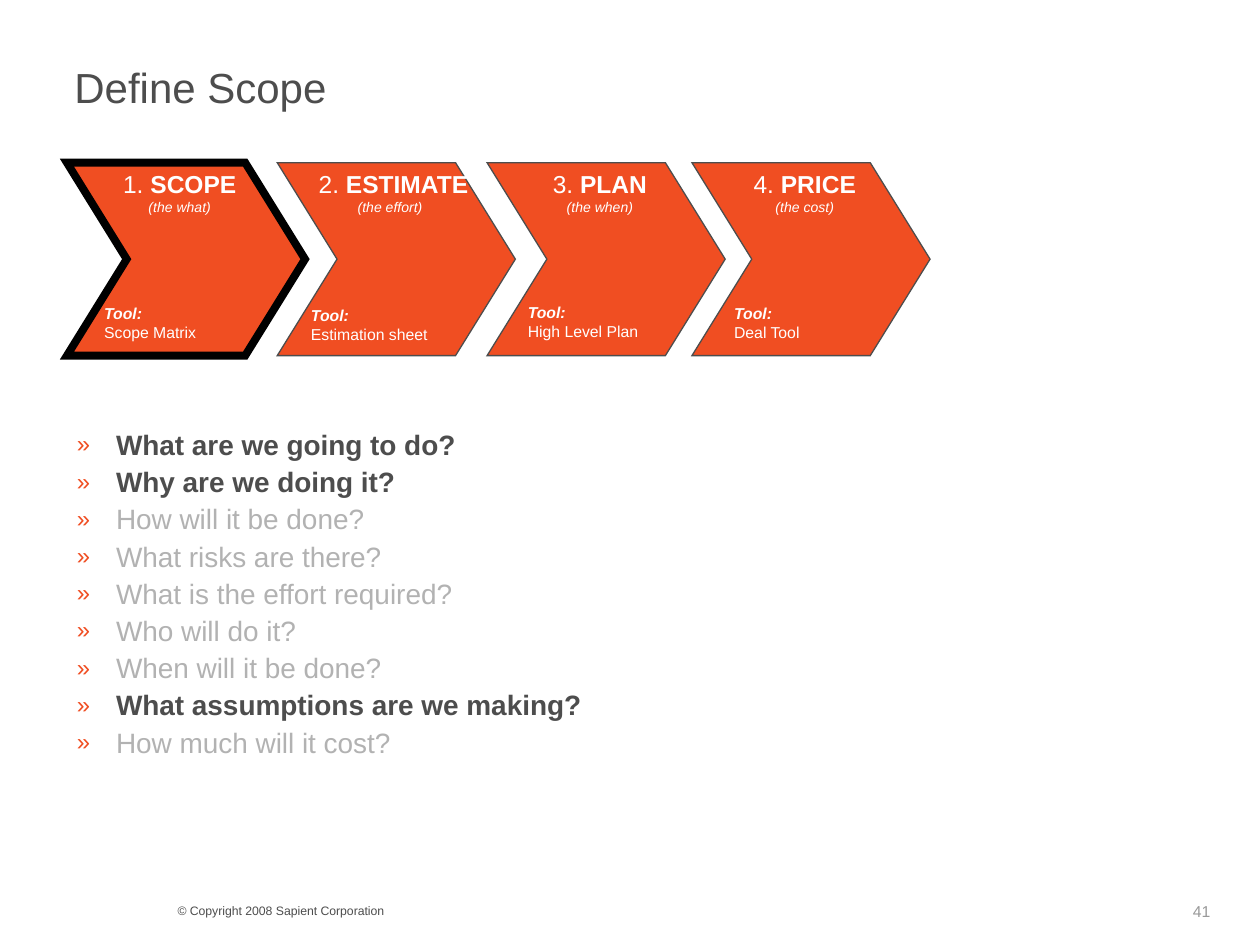
from dataclasses import dataclass

import pptx
import pptx.dml.color
import pptx.enum.shapes
import pptx.enum.text
import pptx.oxml.ns
import pptx.util
from lxml import etree

Cm, Pt = pptx.util.Cm, pptx.util.Pt
ALIGN, ANCHOR = pptx.enum.text.PP_ALIGN, pptx.enum.text.MSO_ANCHOR


@dataclass(frozen=True)
class Theme:
    font: str = "Arial"
    orange: str = "F04E22"
    dark: str = "4D4D4D"
    muted: str = "B2B2B2"
    number: str = "999999"
    black: str = "000000"
    white: str = "FFFFFF"
    title: float = 24
    body: float = 16
    step: float = 14
    label: float = 9
    hint: float = 8
    footer: float = 7


@dataclass(frozen=True)
class Step:
    left: float
    number: str
    name: str
    hint: str
    tool: str
    tool_box: tuple[float, float, float]  # left, top, width in cm
    current: bool = False


@dataclass(frozen=True)
class Question:
    text: str
    active: bool = False


THEME = Theme()
STEP_TOP, STEP_WIDTH, STEP_HEIGHT, STEP_POINT = 3.28, 4.8, 3.89, 0.31
TOOL_HEIGHT = 1.02

STEPS = [
    Step(1.35, "1. ", "SCOPE", "(the what)", "Scope Matrix", (1.85, 6, 2.36), True),
    Step(5.59, " 2. ", "ESTIMATE", "(the effort)", "Estimation sheet", (6.02, 6.04, 2.84)),
    Step(9.82, "3. ", "PLAN", "(the when)", "High Level Plan", (10.39, 5.97, 2.72)),
    Step(13.95, "4. ", "PRICE", "(the cost)", "Deal Tool", (14.55, 6, 1.85)),
]
QUESTIONS = [
    Question("What are we going to do?", True),
    Question("Why are we doing it?", True),
    Question("How will it be done?"),
    Question("What risks are there?"),
    Question("What is the effort required?"),
    Question("Who will do it?"),
    Question("When will it be done?"),
    Question("What assumptions are we making?", True),
    Question("How much will it cost?"),
]


def rgb(color: str):
    return pptx.dml.color.RGBColor.from_string(color)


def apply(target, values: dict) -> None:
    for name, value in values.items():
        setattr(target, name, value)


def add_run(p, text: str, size: float, color: str, **style) -> None:
    r = p.add_run()
    r.text = text
    apply(r.font, {"name": THEME.font, "size": Pt(size), **style})
    r.font.color.rgb = rgb(color)


def add_text_box(s, left: float, top: float, width: float, height: float, **frame):
    tf = s.shapes.add_textbox(Cm(left), Cm(top), Cm(width), Cm(height)).text_frame
    apply(tf, {"word_wrap": True, **frame})
    return tf


def add_bullet(p) -> None:
    pPr = p._p.get_or_add_pPr()
    for name, length in {"marL": Cm(0.79), "indent": Cm(-0.79)}.items():
        pPr.set(name, str(int(length)))
    qn = pptx.oxml.ns.qn
    bullet_color = etree.SubElement(pPr, qn("a:buClr"))
    etree.SubElement(bullet_color, qn("a:srgbClr"), val=THEME.orange)
    etree.SubElement(pPr, qn("a:buSzPct"), val="85000")
    etree.SubElement(pPr, qn("a:buFont"), typeface=THEME.font)
    etree.SubElement(pPr, qn("a:buChar"), char="»")


def draw_step(s, step: Step) -> None:
    sp = s.shapes.add_shape(pptx.enum.shapes.MSO_SHAPE.CHEVRON, Cm(step.left),
                            Cm(STEP_TOP), Cm(STEP_WIDTH), Cm(STEP_HEIGHT))
    sp.adjustments[0] = STEP_POINT
    sp.shadow.inherit = False
    sp.fill.solid()
    sp.fill.fore_color.rgb = rgb(THEME.orange)
    sp.line.color.rgb = rgb(THEME.black if step.current else THEME.dark)
    sp.line.width = Pt(4.5 if step.current else 0.75)
    etree.SubElement(sp.line._get_or_add_ln(), pptx.oxml.ns.qn("a:miter"), lim="800000")

    tf = sp.text_frame
    apply(tf, {"word_wrap": False, "vertical_anchor": ANCHOR.TOP, "margin_left": 0,
               "margin_right": Cm(0.25), "margin_top": Cm(0.13), "margin_bottom": Cm(0.13)})
    p = tf.paragraphs[0]
    p.alignment = ALIGN.CENTER
    add_run(p, step.number, THEME.step, THEME.white)
    add_run(p, step.name, THEME.step, THEME.white, bold=True)
    p = tf.add_paragraph()
    p.alignment = ALIGN.CENTER
    add_run(p, step.hint, THEME.hint, THEME.white, italic=True)


def draw_tool(s, step: Step) -> None:
    # No right margin, so that each label keeps to one line
    tf = add_text_box(s, *step.tool_box, TOOL_HEIGHT, margin_right=0)
    add_run(tf.paragraphs[0], "Tool:", THEME.label, THEME.white, bold=True, italic=True)
    add_run(tf.add_paragraph(), step.tool, THEME.label, THEME.white)


def draw_questions(s, questions: list[Question]) -> None:
    tf = add_text_box(s, 1.3, 8.57, 22.83, 7.03)
    for i, question in enumerate(questions):
        p = tf.add_paragraph() if i else tf.paragraphs[0]
        add_bullet(p)
        apply(p, {"line_spacing": 0.9, "space_before": Pt(4 if i else 0)})
        add_run(p, question.text, THEME.body,
                THEME.dark if question.active else THEME.muted, bold=question.active)


def main() -> None:
    prs = pptx.Presentation()
    apply(prs, {"slide_width": Cm(25.4), "slide_height": Cm(19.05)})
    s = prs.slides.add_slide(prs.slide_layouts[6])

    # Footer
    tf = add_text_box(s, 3.33, 18.08, 10.16, 0.56)
    add_run(tf.paragraphs[0], "© Copyright 2008 Sapient Corporation", THEME.footer, THEME.dark)
    tf = add_text_box(s, 23.82, 18.08, 1.5, 0.61, margin_left=Cm(0.23), margin_top=Cm(0.1))
    add_run(tf.paragraphs[0], "41", THEME.label, THEME.number)

    # Title
    tf = add_text_box(s, 1.25, 1.12, 22.89, 1.4, vertical_anchor=ANCHOR.TOP)
    add_run(tf.paragraphs[0], "Define Scope", THEME.title, THEME.dark)

    # Process steps, then their tools on top
    for draw in (draw_step, draw_tool):
        for step in STEPS:
            draw(s, step)

    # Questions, with those answered in this step in bold
    draw_questions(s, QUESTIONS)

    prs.save("out.pptx")


if __name__ == "__main__":
    main()
